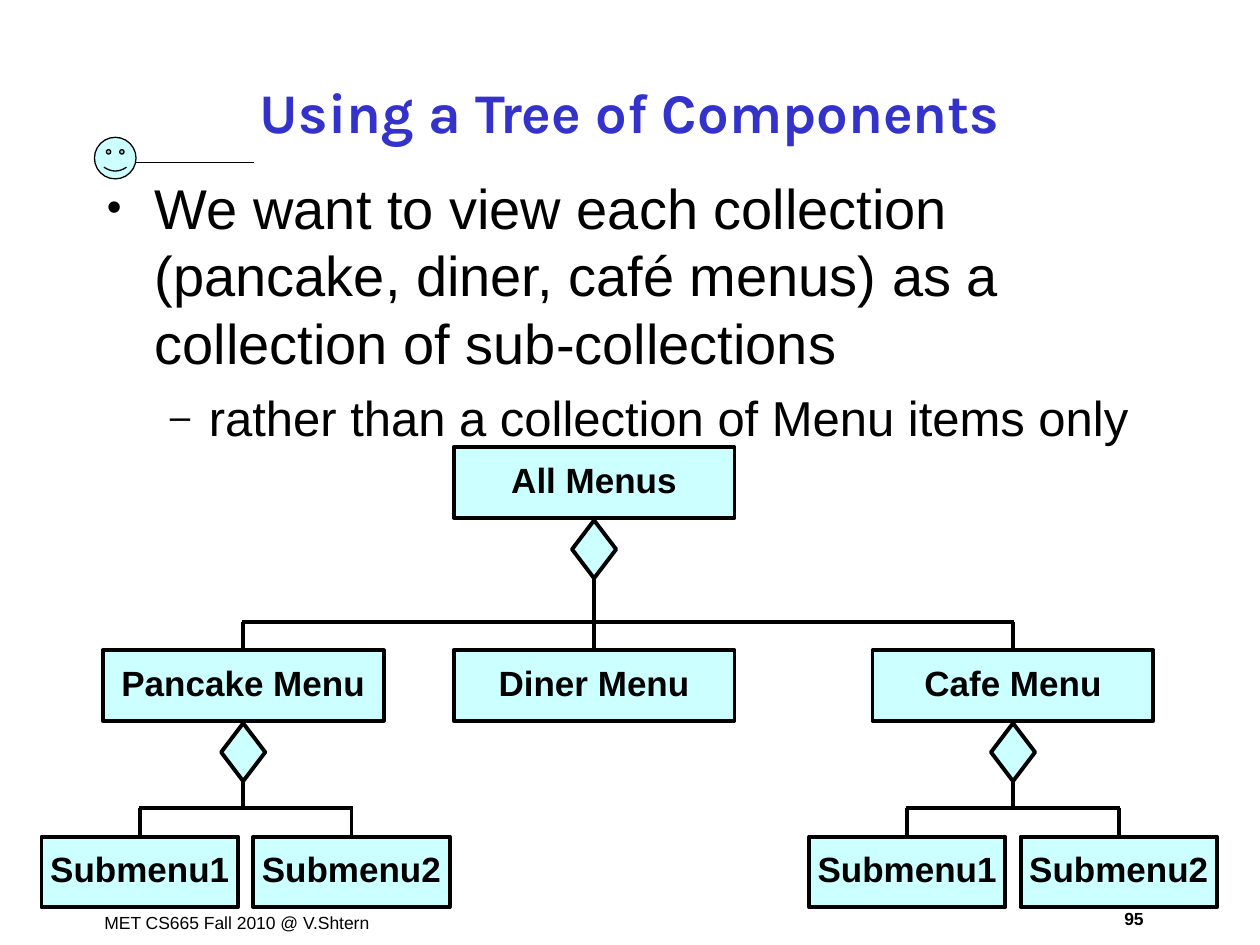
from lxml import etree
from pptx import Presentation
from pptx import util as u
from pptx.dml.color import RGBColor
from pptx.enum import shapes, text
from pptx.oxml.ns import qn

COLORS = {"ink": "000000", "title": "3333CC", "node": "CCFFFF"}
WIDTH, HEIGHT = u.Inches(10), u.Inches(7.5)
COLS, ROWS = 100, 75
NODE_H, DIAMOND_W, DIAMOND_H = 5.6, 3.5, 4.6
MENU_W, SUBMENU_W = 22.3, 15.6
MIDDLE = text.MSO_ANCHOR.MIDDLE
CENTER = text.PP_ALIGN.CENTER


def x(cols):
    return round(WIDTH * cols / COLS)


def y(rows):
    return round(HEIGHT * rows / ROWS)


def place(box):
    left, top, width, height = box
    return x(left), y(top), x(width), y(height)


def rgb(name):
    return RGBColor.from_string(COLORS[name])


def add_run(p, words, size, font="Arial", color="ink", bold=False):
    r = p.add_run()
    r.text = words
    r.font.size = u.Pt(size)
    r.font.name = font
    r.font.bold = bold
    r.font.color.rgb = rgb(color)


def add_text(s, box, words, size, align=None, anchor=None, **style):
    tf = s.shapes.add_textbox(*place(box)).text_frame
    tf.word_wrap = True
    tf.vertical_anchor = anchor
    p = tf.paragraphs[0]
    p.alignment = align
    add_run(p, words, size, **style)


def add_line(s, x1, y1, x2, y2, weight=2.25, start=None, end=None):
    ln = s.shapes.add_connector(shapes.MSO_CONNECTOR.STRAIGHT, x(x1), y(y1), x(x2), y(y2))
    ln.line.color.rgb = rgb("ink")
    ln.line.width = u.Pt(weight)
    etree.SubElement(ln._element.spPr, qn("a:effectLst"))
    if start is not None:
        ln.begin_connect(start, 2)
    if end is not None:
        ln.end_connect(end, 0)


def add_figure(s, kind, box, weight=2.25):
    sp = s.shapes.add_shape(kind, *place(box))
    sp.shadow.inherit = False
    sp.fill.solid()
    sp.fill.fore_color.rgb = rgb("node")
    sp.line.color.rgb = rgb("ink")
    sp.line.width = u.Pt(weight)
    return sp


def add_node(s, box, words):
    sp = add_figure(s, shapes.MSO_SHAPE.RECTANGLE, box)
    tf = sp.text_frame
    tf.word_wrap = False
    tf.vertical_anchor = MIDDLE
    p = tf.paragraphs[0]
    p.alignment = CENTER
    p.line_spacing = 0.85
    add_run(p, words, 20, bold=True)
    return sp


def add_branch(s, parent_box, bus, children):
    left, top, width, height = parent_box
    center, tip = left + width / 2, top + height + 0.2
    diamond = add_figure(s, shapes.MSO_SHAPE.FLOWCHART_DECISION,
                         (center - DIAMOND_W / 2, tip, DIAMOND_W, DIAMOND_H))
    add_line(s, center, tip + DIAMOND_H, center, bus, start=diamond)
    nodes = []
    for box, words in children:
        node = add_node(s, box, words)
        mid = box[0] + box[2] / 2
        add_line(s, mid, bus, mid, box[1], end=node)
        nodes.append(mid)
    add_line(s, nodes[0] - 0.1, bus, nodes[-1] + 0.1, bus)


def add_tree(s, box):
    left, top, width, height = box
    menu_top, submenu_top = top + 16.1, top + height - NODE_H
    pair_w, gap = 32.4, 1.2
    inset = (pair_w - MENU_W) / 2
    lefts = (left + inset - 0.2, left + 32.7, left + width - pair_w + inset)
    root = (lefts[1], top, MENU_W, NODE_H)
    names = ("Pancake Menu", "Diner Menu", "Cafe Menu")
    menus = [(l, menu_top, MENU_W, NODE_H) for l in lefts]
    add_node(s, root, "All Menus")
    add_branch(s, root, top + 13.9, list(zip(menus, names)))
    for menu, pair_left in ((menus[0], left), (menus[2], left + width - pair_w)):
        children = [((pair_left + i * (SUBMENU_W + gap), submenu_top, SUBMENU_W, NODE_H),
                     f"Submenu{i + 1}") for i in range(2)]
        add_branch(s, menu, submenu_top - 2.3, children)


def add_bullets(s, box, items):
    tf = s.shapes.add_textbox(*place(box)).text_frame
    tf.word_wrap = True
    for i, (words, size, mark, margin, hang, before) in enumerate(items):
        p = tf.paragraphs[0] if i == 0 else tf.add_paragraph()
        p.level = i
        p.space_before = u.Pt(before)
        pPr = p._p.get_or_add_pPr()
        pPr.set("marL", str(x(margin)))
        pPr.set("indent", str(-x(hang)))
        color = etree.SubElement(pPr, qn("a:buClr"))
        etree.SubElement(color, qn("a:srgbClr"), val=COLORS["ink"])
        etree.SubElement(pPr, qn("a:buSzPct"), val="75000")
        etree.SubElement(pPr, qn("a:buFont"), typeface="Arial")
        etree.SubElement(pPr, qn("a:buChar"), char=mark)
        add_run(p, words, size)


def add_header(s, box):
    left, top, width, height = box
    add_figure(s, shapes.MSO_SHAPE.SMILEY_FACE, (left, top + 6.1, 3.3, 3.3), 0.75)
    add_line(s, left + 3.3, top + 8.1, left + 12.7, top + 8.1, weight=1)
    add_text(s, box, "Using a Tree of Components", 32, CENTER, MIDDLE,
             font="Karla", color="title", bold=True)


def add_footer(s, box):
    left, top, width, height = box
    add_text(s, (left, top + 0.3, 24.1, height), "MET CS665 Fall 2010 @ V.Shtern", 10)
    add_text(s, (left + width - 5.4, top, 5.4, height), "95", 10, CENTER, bold=True)


def main():
    prs = Presentation()
    prs.slide_width, prs.slide_height = WIDTH, HEIGHT
    s = prs.slides.add_slide(prs.slide_layouts[6])
    add_footer(s, (7.3, 71.6, 85.4, 2.7))
    add_header(s, (7.5, 4.8, 85, 8))
    add_bullets(s, (7.5, 13.3, 85, 57.6), [
        ("We want to view each collection (pancake, diner, café menus) "
         "as a collection of sub-collections", 32, "•", 3.8, 3.8, 0),
        ("rather than a collection of Menu items only", 28, "–", 8.1, 3.1, 7),
    ])
    add_tree(s, (3.3, 35.5, 93.3, 36.9 - 0.4))
    prs.save("out.pptx")


if __name__ == "__main__":
    main()
